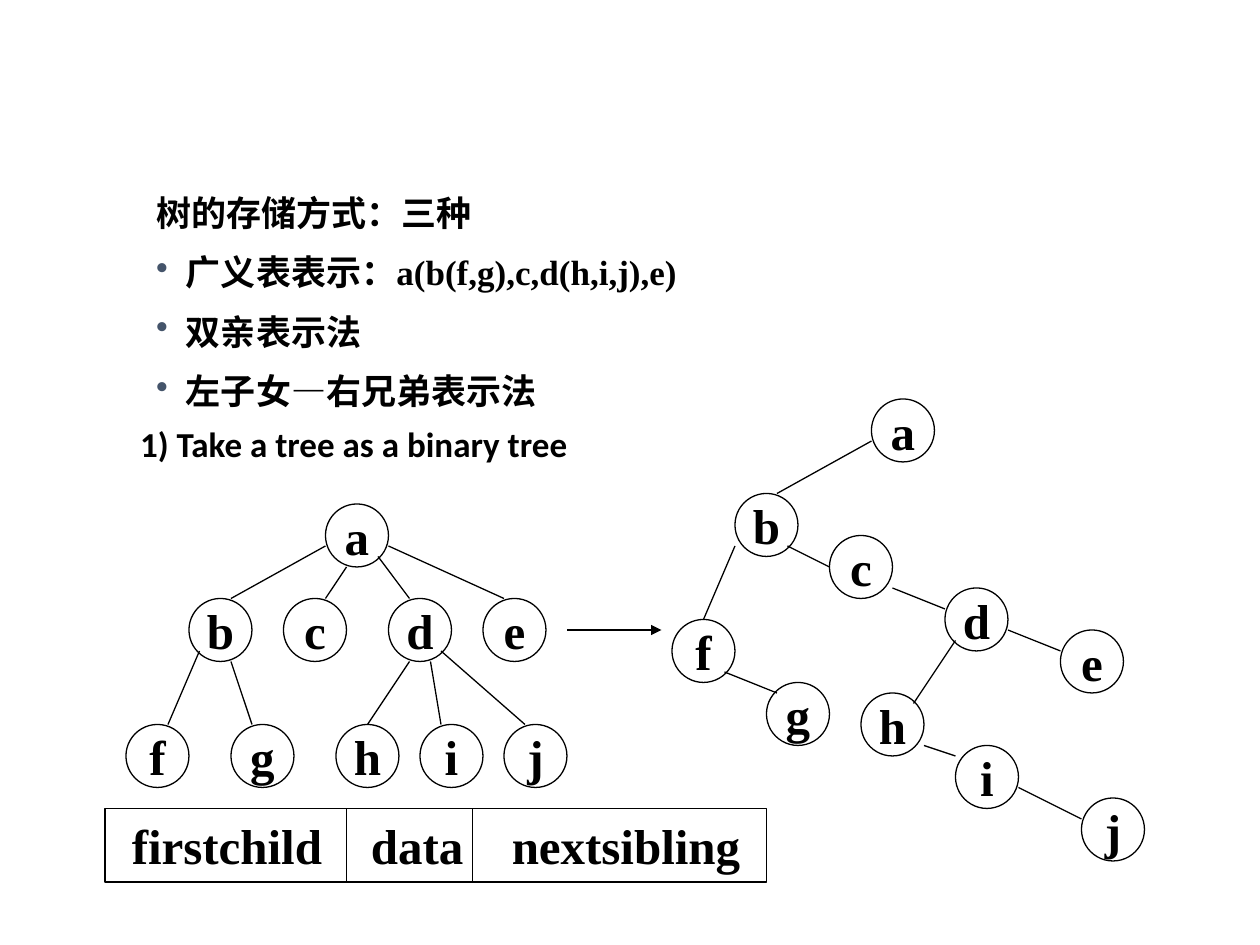
"""Build a slide on tree storage: a general tree turned into a binary tree."""
from lxml import etree
from pptx import Presentation
from pptx.dml.color import RGBColor
from pptx.enum.shapes import MSO_CONNECTOR, MSO_SHAPE
from pptx.enum.text import MSO_ANCHOR, PP_ALIGN
from pptx.oxml.ns import qn
from pptx.util import Cm, Pt

ELLIPSE, RECT = MSO_SHAPE.OVAL, MSO_SHAPE.RECTANGLE
STRAIGHT = MSO_CONNECTOR.STRAIGHT
CENTER, LEFT, MIDDLE = PP_ALIGN.CENTER, PP_ALIGN.LEFT, MSO_ANCHOR.MIDDLE

THEME = {
    "ink": RGBColor(0x00, 0x00, 0x00),
    "bullet": "44546A",
    "line": Pt(0.75),
    "text": {"name": "Times New Roman", "size": Pt(20), "bold": True},
    "heading": {"name": "Calibri", "size": Pt(20), "bold": True},
    "node": {"name": "Times New Roman", "size": Pt(28), "bold": True},
}
GRID = 2.54 / 12
NODE = 6

TREES = [
    {
        "nodes": {"a": (31, 48), "b": (18, 57), "c": (27, 57), "d": (37, 57),
                  "e": (46, 57), "f": (12, 69), "g": (22, 69), "h": (32, 69),
                  "i": (40, 69), "j": (48, 69)},
        "edges": [(31, 52, 22, 57), (33, 54, 31, 57), (36, 53, 39, 57),
                  (37, 52, 48, 57), (19, 62, 16, 69), (22, 63, 24, 69),
                  (39, 63, 35, 69), (41, 63, 42, 69), (42, 62, 50, 69)],
    },
    {
        "nodes": {"a": (83, 38), "b": (70, 47), "c": (79, 51), "d": (90, 56),
                  "e": (101, 60), "f": (64, 59), "g": (73, 65), "h": (82, 66),
                  "i": (91, 71), "j": (103, 76)},
        "edges": [(83, 42, 74, 47), (70, 52, 67, 59), (91, 61, 87, 67),
                  (85, 56, 90, 58), (97, 75, 103, 78), (96, 60, 101, 62),
                  (75, 52, 79, 54), (69, 64, 74, 66), (88, 71, 91, 72)],
    },
]
METHODS = ["树的存储方式：三种", "广义表表示：a(b(f,g),c,d(h,i,j),e)",
           "双亲表示法", "左子女—右兄弟表示法"]


def add_outline(shapes, kind, box, text, align):
    s = shapes.add_shape(kind, *[Cm(n * GRID) for n in box])
    s.shadow.inherit = False
    s.fill.background()
    s.line.color.rgb = THEME["ink"]
    s.line.width = THEME["line"]
    tf = s.text_frame
    tf.vertical_anchor = MIDDLE
    tf.word_wrap = align == LEFT
    p = tf.paragraphs[0]
    p.alignment = align
    r = p.add_run()
    r.text = text
    r.font.color.rgb = THEME["ink"]
    for key, value in THEME["node"].items():
        setattr(r.font, key, value)
    return s


def add_line(shapes, ends):
    s = shapes.add_connector(STRAIGHT, *[Cm(n * GRID) for n in ends])
    s.line.color.rgb = THEME["ink"]
    s.line.width = THEME["line"]
    etree.SubElement(s._element.spPr, qn("a:effectLst"))
    return s


prs = Presentation()
prs.slide_width, prs.slide_height = Cm(25.4), Cm(19.05)
slide = prs.slides.add_slide(prs.slide_layouts[1])
title = slide.shapes.title._element
title.getparent().remove(title)

body = slide.placeholders[1]
body.left, body.top, body.width, body.height = Cm(1.9), Cm(8.25), Cm(21.6), Cm(8.7)
tf = body.text_frame
tf.margin_top = Cm(0.36)
p = tf.paragraphs[0]
p.line_spacing = 0.9
p.space_before = Pt(0)
pPr = p._p.get_or_add_pPr()
pPr.set("marL", str(Cm(0.67)))
pPr.set("indent", "0")
etree.SubElement(pPr, qn("a:buNone"))
r = p.add_run()
r.text = "1) Take a tree as a binary tree"
r.font.color.rgb = THEME["ink"]
for key, value in THEME["heading"].items():
    setattr(r.font, key, value)

for tree in TREES:
    group = slide.shapes.add_group_shape()
    for name, (x, y) in tree["nodes"].items():
        add_outline(group.shapes, ELLIPSE, (x, y, NODE, NODE), name, CENTER)
    for edge in tree["edges"]:
        add_line(group.shapes, edge)

record = slide.shapes.add_group_shape()
s = add_outline(record.shapes, RECT, (10, 77, 63, 7),
                "firstchild\tdata\tnextsibling", LEFT)
s.text_frame.margin_left = Cm(0.54)
tabs = etree.SubElement(s.text_frame.paragraphs[0]._p.get_or_add_pPr(), qn("a:tabLst"))
for stop in (4.82, 7.66):
    etree.SubElement(tabs, qn("a:tab"), pos=str(Cm(stop)), algn="l")
for x in (33, 45):
    add_line(record.shapes, (x, 77, x, 84))

arrow = add_line(slide.shapes, (54, 60, 63, 60))
etree.SubElement(arrow.line._get_or_add_ln(), qn("a:tailEnd"), type="triangle")

s = slide.shapes.add_textbox(Cm(2.9), Cm(3.73), Cm(17.78), Cm(4.9))
tf = s.text_frame
tf.word_wrap = True
for i, text in enumerate(METHODS):
    p = tf.paragraphs[0] if i == 0 else tf.add_paragraph()
    if i:
        p.space_before = Pt(10)
        pPr = p._p.get_or_add_pPr()
        pPr.set("marL", str(Cm(0.6)))
        pPr.set("indent", str(-Cm(0.6)))
        color = etree.SubElement(pPr, qn("a:buClr"))
        etree.SubElement(color, qn("a:srgbClr"), val=THEME["bullet"])
        etree.SubElement(pPr, qn("a:buChar"), char="•")
    r = p.add_run()
    r.text = text
    r.font.color.rgb = THEME["ink"]
    for key, value in THEME["text"].items():
        setattr(r.font, key, value)

prs.save("out.pptx")
